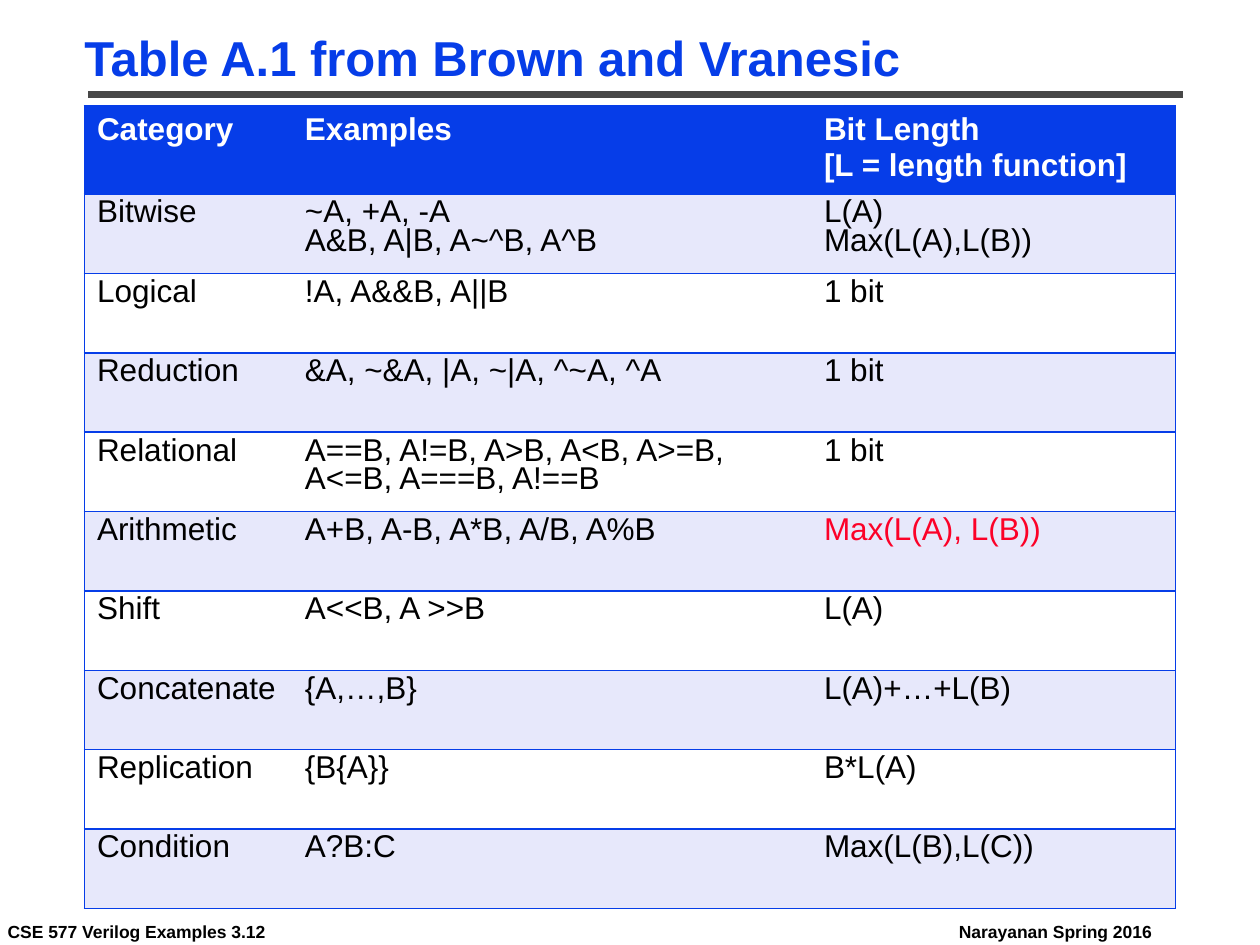
import pptx
import pptx.dml.color
import pptx.enum.shapes
import pptx.enum.text
import pptx.util
from lxml import etree
from pptx.util import Inches

COLORS = {"blue": "063DE8", "band": "E7E8FB", "white": "FFFFFF",
          "black": "000000", "red": "FC0128", "rule": "484848"}
TITLE = "Table A.1 from Brown and Vranesic"
FOOTERS = [("CSE 577 Verilog Examples 3.12", -0.01, 2.22),
           ("Narayanan Spring 2016", 7.54, 1.68)]
ROWS = [
    ("Category", "Examples", "Bit Length\n[L = length function]"),
    ("Bitwise", "~A, +A, -A\vA&B, A|B, A~^B, A^B", "L(A)\vMax(L(A),L(B))"),
    ("Logical", "!A, A&&B, A||B", "1 bit"),
    ("Reduction", "&A, ~&A, |A, ~|A, ^~A, ^A", "1 bit"),
    ("Relational", "A==B, A!=B, A>B, A<B, A>=B, A<=B, A===B, A!==B", "1 bit"),
    ("Arithmetic", "A+B, A-B, A*B, A/B, A%B", "Max(L(A), L(B))"),
    ("Shift", "A<<B, A >>B", "L(A)"),
    ("Concatenate", "{A,…,B}", "L(A)+…+L(B)"),
    ("Replication", "{B{A}}", "B*L(A)"),
    ("Condition", "A?B:C", "Max(L(B),L(C))"),
]
COL_WIDTHS = [1.65, 4.12, 2.89]
ROW_HEIGHT = 0.63
RED_CELL = (5, 2)


def rgb(name):
    return pptx.dml.color.RGBColor.from_string(COLORS[name])


def style(p, size, color, bold):
    p.font.name = "Arial"
    p.font.size = pptx.util.Pt(size)
    p.font.bold = bold
    p.font.color.rgb = rgb(color)


def set_frame(tf, wrap):
    tf.margin_left = tf.margin_right = Inches(0.07)
    tf.margin_top = tf.margin_bottom = Inches(0.03)
    tf.word_wrap = wrap
    tf.vertical_anchor = pptx.enum.text.MSO_ANCHOR.TOP
    tf.auto_size = pptx.enum.text.MSO_AUTO_SIZE.SHAPE_TO_FIT_TEXT


def set_borders(cell, sides):
    tcPr = cell._tc.get_or_add_tcPr()
    ns = pptx.oxml.ns.qn
    for side in "LRTB":
        ln = etree.SubElement(tcPr, ns("a:ln" + side), w="12700")
        if side in sides:
            fill = etree.SubElement(ln, ns("a:solidFill"))
            etree.SubElement(fill, ns("a:srgbClr"), val=COLORS["blue"])
        else:
            etree.SubElement(ln, ns("a:noFill"))


prs = pptx.Presentation()
prs.slide_width, prs.slide_height = Inches(10), Inches(7.5)
s = prs.slides.add_slide(prs.slide_layouts[5])

for text, left, width in FOOTERS:
    sp = s.shapes.add_textbox(Inches(left), Inches(7.28), Inches(width), Inches(0.22))
    set_frame(sp.text_frame, False)
    p = sp.text_frame.paragraphs[0]
    p.text = text
    style(p, 10, "black", True)

rule = s.shapes.add_connector(pptx.enum.shapes.MSO_CONNECTOR.STRAIGHT,
                              Inches(0.7), Inches(0.75), Inches(9.39), Inches(0.75))
rule.line.color.rgb = rgb("rule")
rule.line.width = pptx.util.Pt(4.5)
etree.SubElement(rule._element.spPr, pptx.oxml.ns.qn("a:effectLst"))

title = s.shapes.title
title.left, title.top = Inches(0.6), Inches(0.25)
title.width, title.height = Inches(9.05), Inches(0.48)
set_frame(title.text_frame, True)
p = title.text_frame.paragraphs[0]
p.text = TITLE
p.alignment = pptx.enum.text.PP_ALIGN.LEFT
p.line_spacing = 0.87
style(p, 28, "blue", True)

table = s.shapes.add_table(len(ROWS), len(COL_WIDTHS), Inches(0.67), Inches(0.84),
                           Inches(sum(COL_WIDTHS)), Inches(ROW_HEIGHT * len(ROWS))).table
for col, width in zip(table.columns, COL_WIDTHS):
    col.width = Inches(width)
for i, row in enumerate(ROWS):
    table.rows[i].height = Inches(ROW_HEIGHT)
    header = i == 0
    for j, text in enumerate(row):
        cell = table.cell(i, j)
        set_borders(cell, ("LTB", "TB", "RTB")[j])
        cell.fill.solid()
        cell.fill.fore_color.rgb = rgb("blue" if header else "band" if i % 2 else "white")
        cell.text_frame.text = text
        color = "white" if header else "red" if (i, j) == RED_CELL else "black"
        for p in cell.text_frame.paragraphs:
            if not header:
                p.line_spacing = 0.8
            style(p, 18, color, header)

prs.save("out.pptx")
